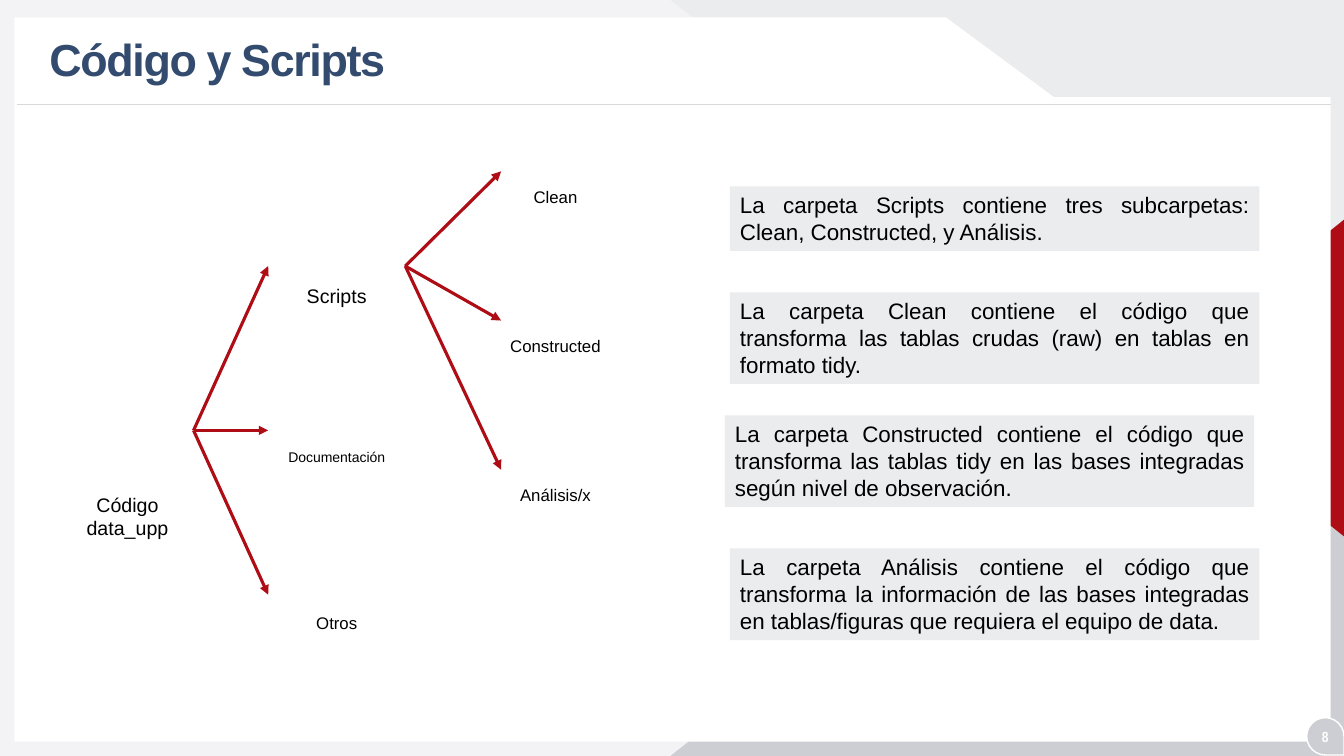
from dataclasses import dataclass

from lxml.etree import SubElement
from pptx import Presentation
from pptx.dml.color import RGBColor
from pptx.enum.shapes import MSO_CONNECTOR as Connector, MSO_SHAPE as Preset
from pptx.enum.text import MSO_ANCHOR as Anchor, MSO_AUTO_SIZE as AutoSize, PP_ALIGN as Align
from pptx.oxml.ns import qn
from pptx.util import Inches, Pt

# Grid cells are a tenth of an inch on both axes
COLUMNS, ROWS = 133.3, 75
COLORS = {
    "backdrop": "F3F3F5", "light": "EBECEE", "grey": "CDCED3", "red": "AF0D15",
    "white": "FFFFFF", "rule": "D9D9D9", "title": "324B6E", "text": "000000",
}
LABEL_HEIGHTS = {10: 2.7, 12: 3.0, 14: 3.4}


@dataclass(frozen=True)
class Box:
    column: float
    row: float
    columns: float
    rows: float


@dataclass(frozen=True)
class Decoration:
    preset: Preset
    box: Box
    color: str
    rotation: int = 0
    apex: float | None = None
    flipped: bool = False
    outline: str | None = None


@dataclass(frozen=True)
class Folder:
    name: str
    size: int = 12
    columns: float = 11.4


@dataclass(frozen=True)
class Branch:
    """Arrows fanning out from one point to evenly spaced folders."""
    start: tuple[float, float]
    tip_column: float
    first_tip_row: float
    step: float
    label_center: float
    label_drop: float
    folders: tuple[Folder, ...]


@dataclass(frozen=True)
class Note:
    text: str
    box: Box


DECORATIONS = (
    Decoration(Preset.RECTANGLE, Box(0, 0, COLUMNS, ROWS), "backdrop"),
    Decoration(Preset.ISOSCELES_TRIANGLE, Box(66.5, 0, 66.9, 53.1), "light", apex=1, flipped=True),
    Decoration(Preset.ISOSCELES_TRIANGLE, Box(66.5, 21.9, 66.9, 53.1), "grey", apex=1),
    Decoration(Preset.ISOSCELES_TRIANGLE, Box(107.8, 27.7, 31.5, 19.6), "red", rotation=270),
)
PAGE_BADGE = Decoration(Preset.TEAR, Box(129.6, 71.2, 3.7, 3.7), "grey", rotation=90, outline="white")
PANEL_OUTLINE = ((1.5, 1.8), (93.8, 1.8), (104.5, 9.7), (131.9, 9.7), (131.9, 73.5), (1.5, 73.5))
BRANCHES = (
    Branch((19.2, 42.7), 26.6, 26.4, 16.3, 33.4, 1.3,
           (Folder("Scripts", 14), Folder("Documentación", 10, 12.6), Folder("Otros"))),
    Branch((40.2, 26.4), 49.7, 17, 14.8, 55.1, 1,
           (Folder("Clean"), Folder("Constructed"), Folder("Análisis/x"))),
)
NOTES = (
    Note("La carpeta Scripts contiene tres subcarpetas: Clean, Constructed, y Análisis.",
         Box(72.4, 18.5, 52.5, 6.4)),
    Note("La carpeta Clean contiene el código que transforma las tablas crudas (raw) "
         "en tablas en formato tidy.", Box(72.4, 29, 52.5, 9.1)),
    Note("La carpeta Constructed contiene el código que transforma las tablas tidy "
         "en las bases integradas según nivel de observación.", Box(71.9, 41.2, 52.5, 9.1)),
    Note("La carpeta Análisis contiene el código que transforma la información de las "
         "bases integradas en tablas/figuras que requiera el equipo de data.",
         Box(72.4, 54.4, 52.5, 9.1)),
)


def cells(count: float) -> int:
    return Inches(count / 10)


def place(box: Box) -> tuple[int, int, int, int]:
    return cells(box.column), cells(box.row), cells(box.columns), cells(box.rows)


def rgb(name: str) -> RGBColor:
    return RGBColor.from_string(COLORS[name])


def paint(shape, color: str, outline: str | None = None) -> None:
    shape.shadow.inherit = False
    shape.fill.solid()
    shape.fill.fore_color.rgb = rgb(color)
    if outline:
        shape.line.color.rgb = rgb(outline)
        shape.line.width = Pt(1)
    else:
        shape.line.fill.background()


def write(shape, text: str, size: float, align: Align, color: str = "text", bold: bool = False,
          font: str = "Arial", anchor: Anchor = Anchor.TOP,
          auto_size: AutoSize = AutoSize.SHAPE_TO_FIT_TEXT) -> None:
    frame = shape.text_frame
    frame.text = text
    frame.word_wrap = True
    frame.vertical_anchor = anchor
    frame.auto_size = auto_size
    for paragraph in frame.paragraphs:
        paragraph.alignment = align
        paragraph.font.name = font
        paragraph.font.size = Pt(size)
        paragraph.font.bold = bold
        paragraph.font.color.rgb = rgb(color)


def decorate(shapes, item: Decoration) -> None:
    shape = shapes.add_shape(item.preset, *place(item.box))
    paint(shape, item.color, item.outline)
    shape.rotation = item.rotation
    if item.apex is not None:
        shape.adjustments[0] = item.apex
    if item.flipped:
        shape._element.spPr.xfrm.set("flipV", "1")


def draw_line(shapes, start: tuple[float, float], end: tuple[float, float],
              color: str, width: float, arrow: bool = False) -> None:
    line = shapes.add_connector(Connector.STRAIGHT, *map(cells, (*start, *end)))
    line.line.color.rgb = rgb(color)
    line.line.width = Pt(width)
    if arrow:
        SubElement(line.line._get_or_add_ln(), qn("a:tailEnd"), type="triangle")
    SubElement(line._element.spPr, qn("a:effectLst"))


def draw_branch(shapes, branch: Branch) -> None:
    for index, folder in enumerate(branch.folders):
        tip_row = branch.first_tip_row + index * branch.step
        draw_line(shapes, branch.start, (branch.tip_column, tip_row), "red", 2.25, arrow=True)
        box = Box(branch.label_center - folder.columns / 2, tip_row + branch.label_drop,
                  folder.columns, LABEL_HEIGHTS[folder.size])
        write(shapes.add_textbox(*place(box)), folder.name, folder.size, Align.CENTER)


def draw_note(shapes, note: Note) -> None:
    shape = shapes.add_shape(Preset.RECTANGLE, *place(note.box))
    paint(shape, "light")
    write(shape, note.text, 16, Align.JUSTIFY)


def draw_title(shapes, text: str) -> None:
    title = shapes.title
    shapes._spTree.append(title._element)  # in front of the white panel
    title.left, title.top, title.width, title.height = place(Box(3.9, 2.2, 96.6, 7.9))
    write(title, text, 32, Align.LEFT, "title", bold=True, anchor=Anchor.MIDDLE,
          auto_size=AutoSize.NONE)
    heading = title.text_frame.paragraphs[0]
    heading.line_spacing = 0.9
    heading.runs[0]._r.get_or_add_rPr().set("spc", "-100")


def main() -> None:
    deck = Presentation()
    deck.slide_width, deck.slide_height = cells(COLUMNS), cells(ROWS)
    shapes = deck.slides.add_slide(deck.slide_layouts[5]).shapes

    for item in DECORATIONS:
        decorate(shapes, item)
    first, *others = [(cells(column), cells(row)) for column, row in PANEL_OUTLINE]
    outline = shapes.build_freeform(*first)
    outline.add_line_segments(others, close=True)
    paint(outline.convert_to_shape(), "white", "white")
    draw_line(shapes, (132, 10.4), (1.7, 10.4), "rule", 0.5)
    decorate(shapes, PAGE_BADGE)
    draw_title(shapes, "Código y Scripts")

    page = shapes.add_textbox(*place(Box(129.1, 71.7, 4.7, 2.8)))
    write(page, "8", 10.5, Align.CENTER, "white", bold=True, font="Arial Narrow",
          anchor=Anchor.MIDDLE, auto_size=AutoSize.NONE)
    root = shapes.add_textbox(*place(Box(6.1, 48.4, 13.1, 5.7)))
    write(root, "Código\ndata_upp", 14, Align.CENTER)
    for branch in BRANCHES:
        draw_branch(shapes, branch)
    for note in NOTES:
        draw_note(shapes, note)
    deck.save("out.pptx")


if __name__ == "__main__":
    main()
